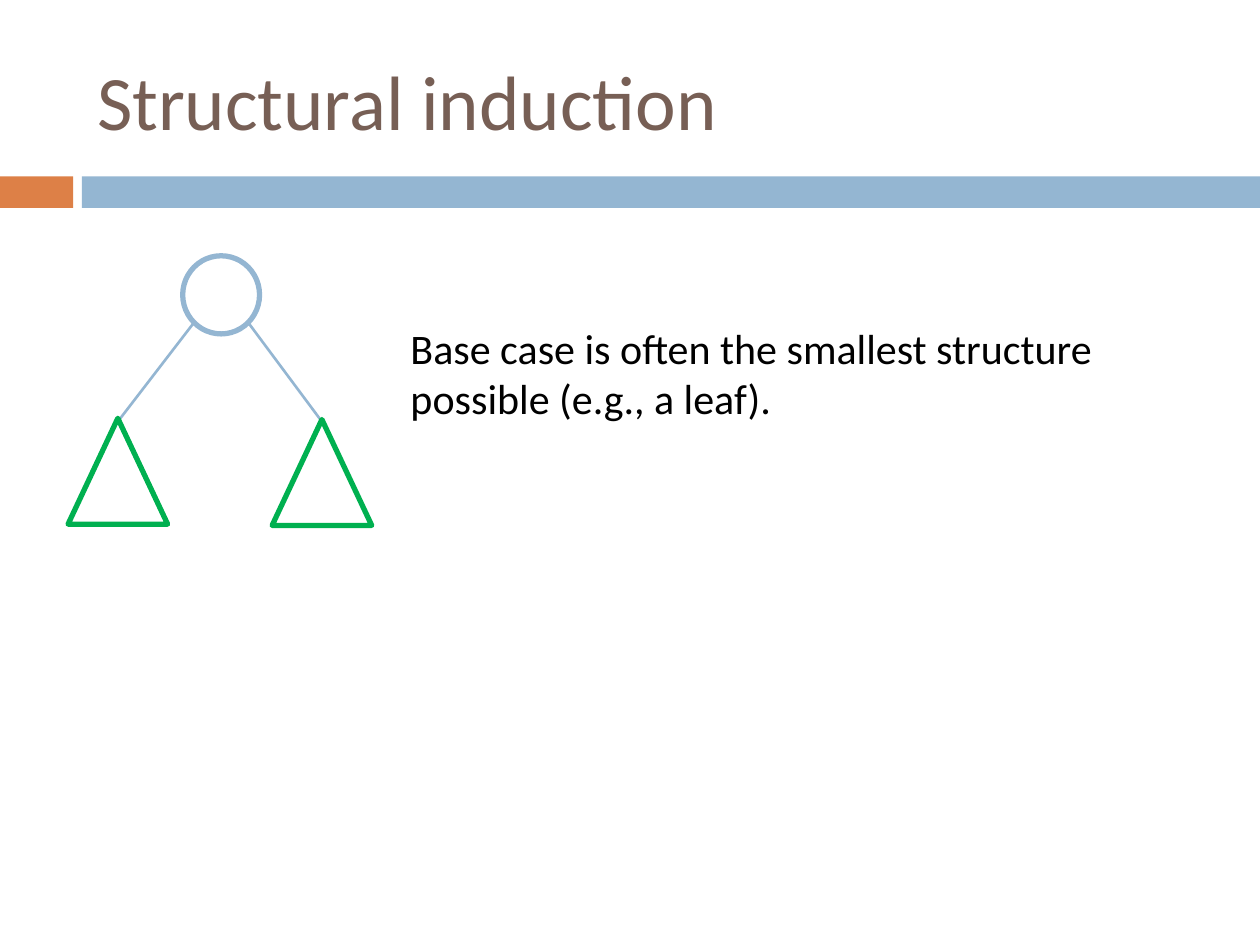
import pptx
import pptx.util
import pptx.dml.color
import pptx.enum.shapes
import pptx.enum.text
import pptx.oxml.ns
import lxml.etree

Inches = pptx.util.Inches
Pt = pptx.util.Pt
RGBColor = pptx.dml.color.RGBColor
MSO_SHAPE = pptx.enum.shapes.MSO_SHAPE
PP_ALIGN = pptx.enum.text.PP_ALIGN
MSO_ANCHOR = pptx.enum.text.MSO_ANCHOR

ORANGE = RGBColor(0xDD, 0x80, 0x47)
BLUE = RGBColor(0x94, 0xB6, 0xD2)
GREEN = RGBColor(0x00, 0xB0, 0x50)
BROWN = RGBColor(0x77, 0x5F, 0x55)
BLACK = RGBColor(0x00, 0x00, 0x00)

TITLE = "Structural induction"
NOTE = "Base case is often the smallest structure possible (e.g., a leaf)."
BANDS = [(0, 0.58, ORANGE), (0.65, 9.35, BLUE)]
ROOT = (1.45, 2.03, 0.61, 0.62)
SUBTREE_SIZE = (0.79, 0.84)
SUBTREES = [(0.54, 3.32), (2.16, 3.33)]
EDGES = [((1.54, 2.56), (0.94, 3.34)), ((1.97, 2.56), (2.55, 3.34))]


def add_shape(slide, kind, box, fill=None, line=None):
    sp = slide.shapes.add_shape(kind, *map(Inches, box))
    sp.shadow.inherit = False
    if fill is None:
        sp.fill.background()
    else:
        sp.fill.solid()
        sp.fill.fore_color.rgb = fill
    if line is None:
        sp.line.fill.background()
    else:
        sp.line.color.rgb = line
        sp.line.width = Pt(3)
    return sp


def add_edge(slide, start, end):
    points = map(Inches, start + end)
    edge = slide.shapes.add_connector(pptx.enum.shapes.MSO_CONNECTOR.STRAIGHT, *points)
    edge.line.color.rgb = BLUE
    edge.line.width = Pt(1.5)
    lxml.etree.SubElement(edge._element.spPr, pptx.oxml.ns.qn("a:effectLst"))


def set_text(sp, text, size, color, anchor):
    tf = sp.text_frame
    tf.text = text
    tf.word_wrap = True
    tf.vertical_anchor = anchor
    p = tf.paragraphs[0]
    p.alignment = PP_ALIGN.LEFT
    font = p.runs[0].font
    font.name = "Calibri"
    font.size = Pt(size)
    font.color.rgb = color


def main():
    prs = pptx.Presentation()
    prs.slide_width, prs.slide_height = Inches(10), Inches(7.5)
    slide = prs.slides.add_slide(prs.slide_layouts[5])

    for left, width, color in BANDS:
        add_shape(slide, MSO_SHAPE.RECTANGLE, (left, 1.4, width, 0.25), fill=color)

    title = slide.shapes.title
    title.left, title.top = Inches(0.67), Inches(0.25)
    title.width, title.height = Inches(8.92), Inches(1.08)
    set_text(title, TITLE, 44, BROWN, MSO_ANCHOR.MIDDLE)

    for start, end in EDGES:
        add_edge(slide, start, end)
    for corner in SUBTREES:
        add_shape(slide, MSO_SHAPE.ISOSCELES_TRIANGLE, corner + SUBTREE_SIZE, line=GREEN)
    add_shape(slide, MSO_SHAPE.OVAL, ROOT, line=BLUE)

    note = slide.shapes.add_textbox(Inches(3.16), Inches(2.51), Inches(6.57), Inches(0.91))
    set_text(note, NOTE, 24, BLACK, MSO_ANCHOR.TOP)
    note.text_frame.auto_size = pptx.enum.text.MSO_AUTO_SIZE.SHAPE_TO_FIT_TEXT

    prs.save("out.pptx")


if __name__ == "__main__":
    main()
